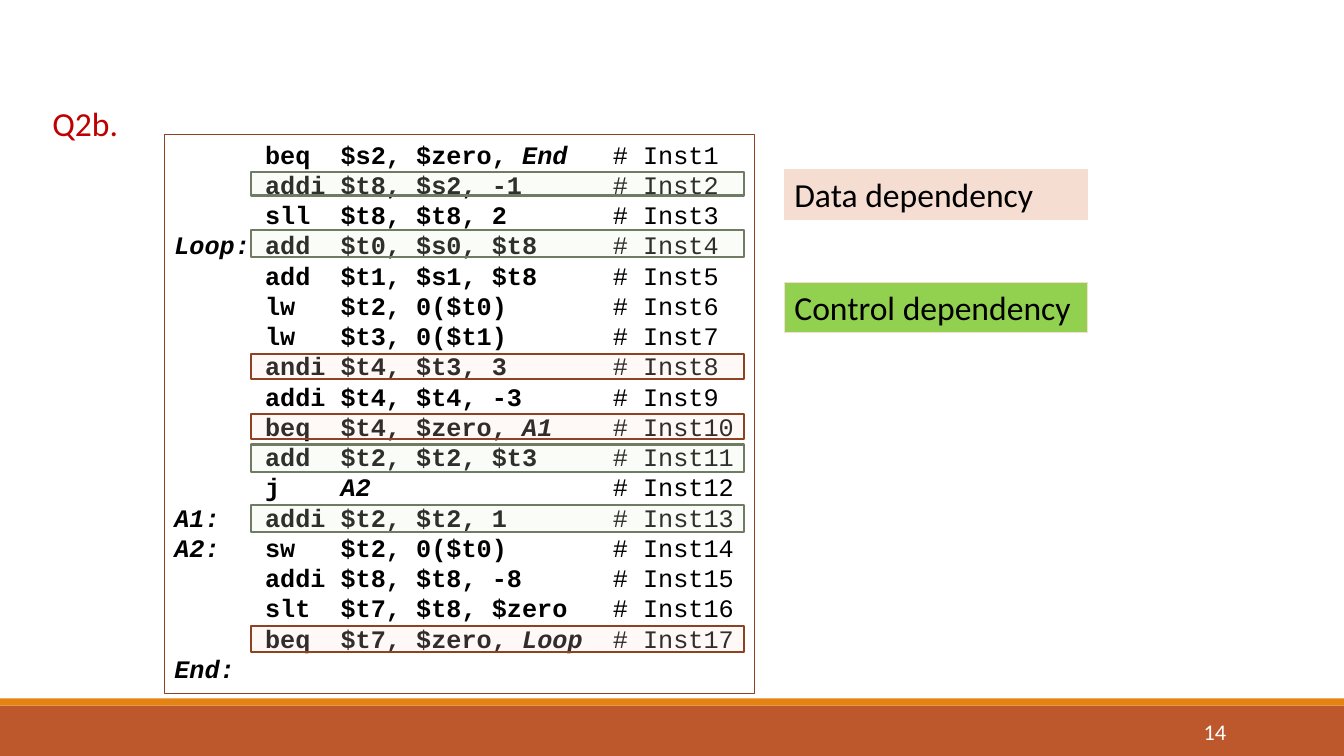
"""Build the slide on data and control dependency in a MIPS loop."""
import lxml.etree
import pptx
import pptx.dml.color
import pptx.enum.shapes
import pptx.enum.text
import pptx.oxml.ns
import pptx.util

CODE = [
    ("", "beq", "$s2, $zero, ", "End"),
    ("", "addi", "$t8, $s2, -1", ""),
    ("", "sll", "$t8, $t8, 2", ""),
    ("Loop:", "add", "$t0, $s0, $t8", ""),
    ("", "add", "$t1, $s1, $t8", ""),
    ("", "lw", "$t2, 0($t0)", ""),
    ("", "lw", "$t3, 0($t1)", ""),
    ("", "andi", "$t4, $t3, 3", ""),
    ("", "addi", "$t4, $t4, -3", ""),
    ("", "beq", "$t4, $zero, ", "A1"),
    ("", "add", "$t2, $t2, $t3", ""),
    ("", "j", "", "A2"),
    ("A1:", "addi", "$t2, $t2, 1", ""),
    ("A2:", "sw", "$t2, 0($t0)", ""),
    ("", "addi", "$t8, $t8, -8", ""),
    ("", "slt", "$t7, $t8, $zero", ""),
    ("", "beq", "$t7, $zero, ", "Loop"),
    ("End:", "", "", ""),
]
MARKS = [
    (8, "data", 0, 0.25), (10, "data", 0, 0.25), (17, "data", 0, 0.26),
    (2, "ctrl", 0, 0.23), (11, "ctrl", 0, 0.27),
    (13, "ctrl", 0, 0.27), (4, "ctrl", 0.03, 0.27),
]
KEYS = [("Data dependency", "peach", 1.68), ("Control dependency", "lime", 2.8)]
TITLE, PAGE = "Q2b.", "14"

HEX = {
    "rust": "BD582C", "gold": "E48312", "red": "C00000", "brown": "8E4221",
    "black": "000000", "white": "FFFFFF", "peach": "F5DDD2", "lime": "92D050",
    "data": "FBE5D6", "ctrl": "E2F0D9", "moss": "6F7B63",
}
EDGE = {"data": "brown", "ctrl": "moss"}
WIDE, HIGH = 13.33, 7.5
CHAR, ROW = 0.15, 0.3
STOPS = (6, 11, 29)
LEFT, TOP = 1.63, 1.33
ALIGN = pptx.enum.text.PP_ALIGN
ANCHOR = pptx.enum.text.MSO_ANCHOR
MONO = {"name": "Courier New", "size": pptx.util.Pt(18)}
SANS = {"name": "Calibri", "size": pptx.util.Pt(24)}


def tint(name):
    return pptx.dml.color.RGBColor.from_string(HEX[name])


def place(box):
    return [pptx.util.Inches(part) for part in box]


def rect(slide, box, fill=None, edge=None, width=0.75, alpha=None):
    shape = slide.shapes.add_shape(
        pptx.enum.shapes.MSO_SHAPE.RECTANGLE, *place(box))
    shape.shadow.inherit = False
    if fill:
        shape.fill.solid()
        shape.fill.fore_color.rgb = tint(fill)
    else:
        shape.fill.background()
    if edge:
        shape.line.color.rgb = tint(edge)
        shape.line.width = pptx.util.Pt(width)
    else:
        shape.line.fill.background()
    if alpha:
        color = shape.fill._xPr.find(".//" + pptx.oxml.ns.qn("a:srgbClr"))
        node = lxml.etree.SubElement(color, pptx.oxml.ns.qn("a:alpha"))
        node.set("val", str(alpha * 1000))
    return shape


def write(para, text, color, form):
    run = para.add_run()
    run.text = text
    for key, value in form.items():
        setattr(run.font, key, value)
    run.font.color.rgb = tint(color)


def label(shape, text, color, align, anchor=ANCHOR.TOP, form=SANS):
    frame = shape.text_frame
    frame.word_wrap = True
    frame.vertical_anchor = anchor
    para = frame.paragraphs[0]
    para.alignment = align
    write(para, text, color, form)


def tabs(para):
    props = para._p.get_or_add_pPr()
    stops = lxml.etree.SubElement(props, pptx.oxml.ns.qn("a:tabLst"))
    for stop in STOPS:
        tab = lxml.etree.SubElement(stops, pptx.oxml.ns.qn("a:tab"))
        tab.set("pos", str(pptx.util.Inches(stop * CHAR)))
        tab.set("algn", "l")


def listing(slide):
    frame = rect(slide, (LEFT, TOP, 5.85, 5.55), edge="brown").text_frame
    frame.word_wrap = True
    frame.vertical_anchor = ANCHOR.TOP
    for num, (name, verb, args, goal) in enumerate(CODE, 1):
        para = frame.paragraphs[0] if num == 1 else frame.add_paragraph()
        para.alignment = ALIGN.LEFT
        tabs(para)
        parts = [(name, True, True)]
        if verb:
            parts += [(f"\t{verb}\t{args}", True, False), (goal, True, True),
                      (f"\t# Inst{num}", False, False)]
        for text, bold, slant in parts:
            if text:
                write(para, text, "black", {**MONO, "bold": bold, "italic": slant})


def main():
    deck = pptx.Presentation()
    deck.slide_width, deck.slide_height = place((WIDE, HIGH))
    slide = deck.slides.add_slide(deck.slide_layouts[6])
    rect(slide, (0, 7, WIDE, 0.5), "rust")
    rect(slide, (0, 6.93, WIDE, 0.07), "gold")
    title = slide.shapes.add_textbox(*place((0.35, 0.97, 0.99, 0.5)))
    label(title, TITLE, "red", ALIGN.CENTER)
    listing(slide)
    for text, fill, top in KEYS:
        key = rect(slide, (7.78, top, 3.01, 0.5), fill, "peach")
        label(key, text, "black", ALIGN.LEFT)
    for num, kind, lift, tall in MARKS:
        top = TOP + 0.08 + (num - 1) * ROW - lift
        rect(slide, (2.49, top, 4.89, tall), kind, EDGE[kind], 1.5, 20)
    page = slide.shapes.add_textbox(*place((10.83, 7.06, 1.43, 0.4)))
    label(page, PAGE, "white", ALIGN.RIGHT, ANCHOR.MIDDLE,
          {**SANS, "size": pptx.util.Pt(16)})
    deck.save("out.pptx")


if __name__ == "__main__":
    main()
